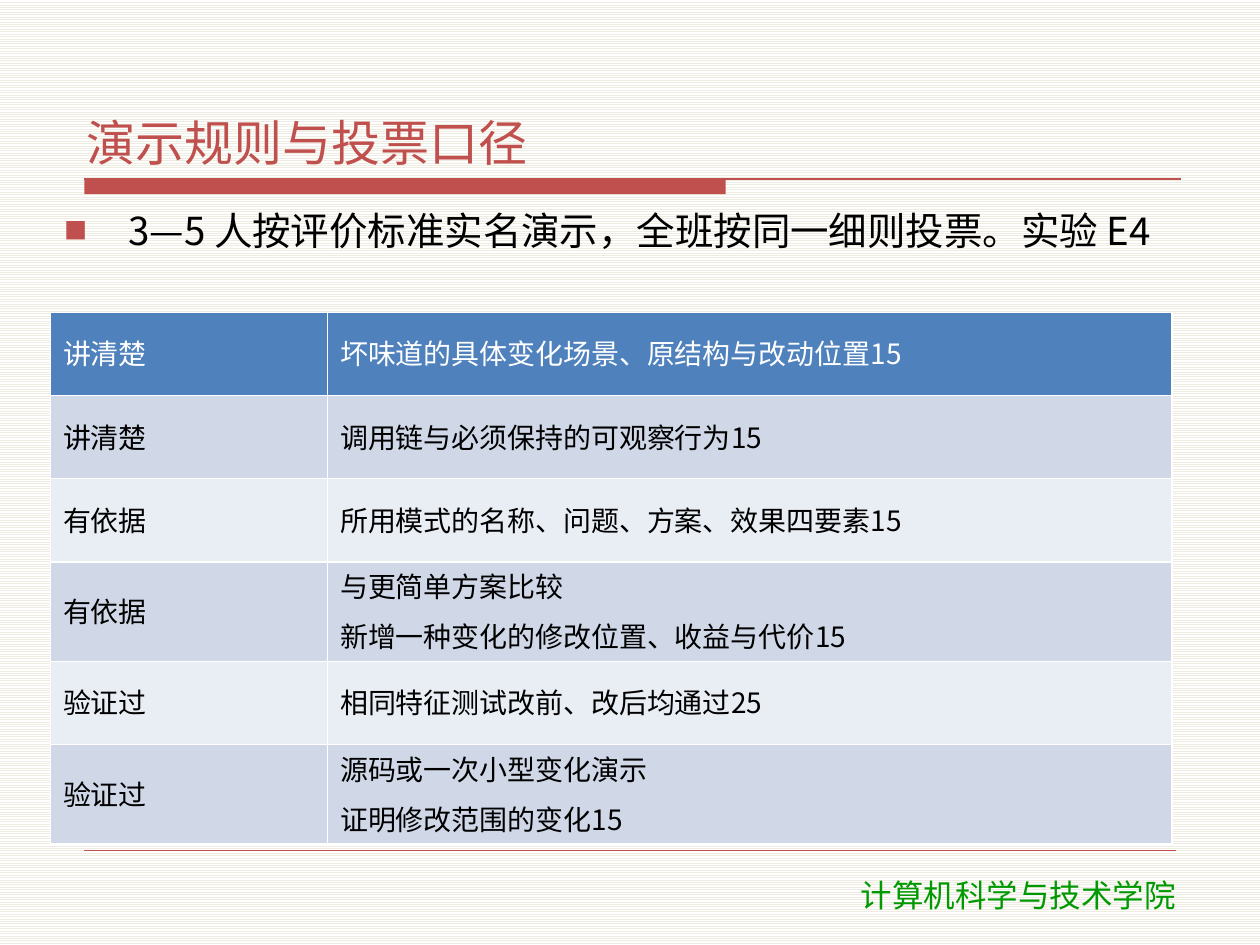
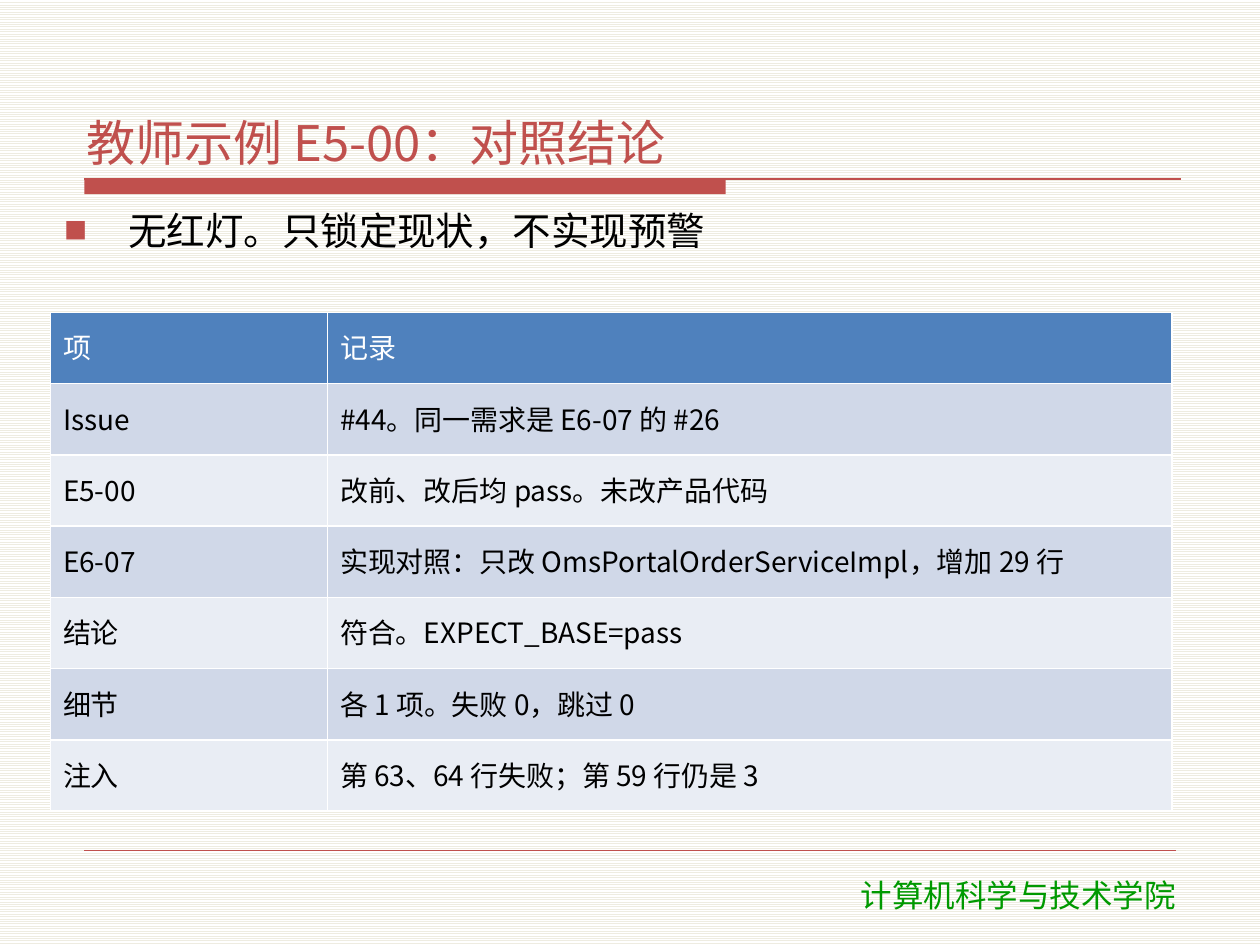
from lxml import etree
from pptx import Presentation
from pptx.dml.color import RGBColor
from pptx.enum.dml import MSO_PATTERN
from pptx.enum.shapes import MSO_CONNECTOR, MSO_SHAPE
from pptx.enum.text import MSO_ANCHOR, MSO_AUTO_SIZE, PP_ALIGN
from pptx.oxml.ns import qn
from pptx.util import Inches, Pt

COLORS = {
    "accent": "C0504D",
    "text": "000000",
    "white": "FFFFFF",
    "stripe": "EEECE1",
    "footer": "009900",
    "header": "4F81BD",
    "odd": "D0D8E8",
    "even": "E9EDF4",
}
MAIN_FONT = "Noto Sans CJK SC"
FOOTER_FONT = "DejaVu Sans"
FOOTER_TEXT = "计算机科学与技术学院"
TITLE_ONLY = 5

BOX_FORMAT = {
    "margin_left": Inches(0.06),
    "margin_right": Inches(0.06),
    "margin_top": Inches(0.02),
    "margin_bottom": Inches(0.02),
    "word_wrap": True,
    "auto_size": MSO_AUTO_SIZE.NONE,
}
TABLE_BOX = [Inches(value) for value in (0.4, 2.48, 8.9, 3.96)]
COLUMN_WIDTHS = (2.2, 6.7)
TWO_LINE_HEIGHT = 0.79

RULE_ROWS = [
    ("讲清楚", "坏味道的具体变化场景、原结构与改动位置15"),
    ("讲清楚", "调用链与必须保持的可观察行为15"),
    ("有依据", "所用模式的名称、问题、方案、效果四要素15"),
    ("有依据", "与更简单方案比较\n新增一种变化的修改位置、收益与代价15"),
    ("验证过", "相同特征测试改前、改后均通过25"),
    ("验证过", "源码或一次小型变化演示\n证明修改范围的变化15"),
]
RECORD_ROWS = [
    ("项", "记录"),
    ("Issue", "#44。同一需求是 E6-07 的 #26"),
    ("E5-00", "改前、改后均 pass。未改产品代码"),
    ("E6-07", "实现对照：只改 OmsPortalOrderServiceImpl，增加 29 行"),
    ("结论", "符合。EXPECT_BASE=pass"),
    ("细节", "各 1 项。失败 0，跳过 0"),
    ("注入", "第 63、64 行失败；第 59 行仍是 3"),
]


def color(name):
    return RGBColor.from_string(COLORS[name])


def apply_format(target, values):
    for name, value in values.items():
        setattr(target, name, value)


def place(shape, left, top, width, height):
    lengths = zip(("left", "top", "width", "height"), (left, top, width, height))
    apply_format(shape, {name: Inches(value) for name, value in lengths})


def write_paragraph(paragraph, text, size, color_name, font=MAIN_FONT, **values):
    """Write one run with Latin and East Asian fonts set alike."""
    apply_format(paragraph, values)
    run = paragraph.add_run()
    run.text = text
    apply_format(run.font, {"size": Pt(size), "name": font, "bold": False})
    run.font.color.rgb = color(color_name)
    latin = run.font._element.find(qn("a:latin"))
    east_asian = etree.Element(qn("a:ea"), typeface=font)
    latin.addnext(east_asian)


def add_rule(slide, top, right, width):
    line = slide.shapes.add_connector(
        MSO_CONNECTOR.STRAIGHT, Inches(0.67), Inches(top), Inches(right), Inches(top))
    line.line.color.rgb = color("accent")
    line.line.width = Pt(width)
    etree.SubElement(line._element.spPr, qn("a:effectLst"))


def add_frame(slide):
    """Striped background, title band, rules and footer."""
    fill = slide.background.fill
    fill.patterned()
    fill.pattern = MSO_PATTERN.LIGHT_HORIZONTAL
    fill.fore_color.rgb = color("stripe")
    fill.back_color.rgb = color("white")

    band = slide.shapes.add_shape(
        MSO_SHAPE.RECTANGLE, Inches(0.67), Inches(1.42), Inches(5.09), Inches(0.12))
    band.shadow.inherit = False
    band.fill.solid()
    band.fill.fore_color.rgb = color("accent")
    band.line.fill.background()
    add_rule(slide, 1.42, 9.37, 0.75)
    add_rule(slide, 6.75, 9.33, 0.25)

    footer = slide.shapes.add_textbox(
        Inches(6.07), Inches(6.9), Inches(4.02), Inches(0.4))
    footer.text_frame.word_wrap = True
    write_paragraph(footer.text_frame.paragraphs[0], FOOTER_TEXT, 18, "footer",
                    FOOTER_FONT, alignment=PP_ALIGN.CENTER)


def set_title(slide, text):
    title = slide.shapes.title
    place(title, 0.63, 0.33, 8.75, 1.05)
    apply_format(title.text_frame, BOX_FORMAT)
    title.text_frame.vertical_anchor = MSO_ANCHOR.BOTTOM
    write_paragraph(title.text_frame.paragraphs[0], text, 28, "accent",
                    alignment=PP_ALIGN.LEFT, space_after=Pt(2))


def add_bullet(slide, text):
    box = slide.shapes.add_textbox(
        Inches(0.45), Inches(1.62), Inches(9.1), Inches(0.78))
    apply_format(box.text_frame, BOX_FORMAT)
    paragraph = box.text_frame.paragraphs[0]
    properties = paragraph._p.get_or_add_pPr()
    properties.set("marL", str(Inches(0.51)))
    properties.set("indent", str(-Inches(0.51)))
    bullet_color = etree.SubElement(properties, qn("a:buClr"))
    etree.SubElement(bullet_color, qn("a:srgbClr"), val=COLORS["accent"])
    etree.SubElement(properties, qn("a:buSzPct"), val="60000")
    etree.SubElement(properties, qn("a:buFont"), typeface=MAIN_FONT)
    etree.SubElement(properties, qn("a:buChar"), char="■")
    write_paragraph(paragraph, text, 22, "text", space_after=Pt(2))


def add_borders(cell):
    properties = cell._tc.get_or_add_tcPr()
    for side in ("lnL", "lnR", "lnT", "lnB"):
        border = etree.SubElement(properties, qn(f"a:{side}"), w=str(Pt(1)))
        fill = etree.SubElement(border, qn("a:solidFill"))
        etree.SubElement(fill, qn("a:srgbClr"), val=COLORS["white"])


def fill_cell(cell, text, fill_name, text_color):
    cell.vertical_anchor = MSO_ANCHOR.MIDDLE
    add_borders(cell)
    cell.fill.solid()
    cell.fill.fore_color.rgb = color(fill_name)
    frame = cell.text_frame
    for index, line in enumerate(text.split("\n")):
        paragraph = frame.add_paragraph() if index else frame.paragraphs[0]
        write_paragraph(paragraph, line, 16, text_color, line_spacing=0.9,
                        space_before=Pt(6 if index else 0), space_after=Pt(2))


def add_banded_table(slide, rows):
    table = slide.shapes.add_table(len(rows), len(COLUMN_WIDTHS), *TABLE_BOX).table
    for column, width in zip(table.columns, COLUMN_WIDTHS):
        column.width = Inches(width)
    for row_index, texts in enumerate(rows):
        # Rows with two lines need more height than an equal share
        if any("\n" in text for text in texts):
            table.rows[row_index].height = Inches(TWO_LINE_HEIGHT)
        if row_index == 0:
            fill_name, text_color = "header", "white"
        else:
            fill_name, text_color = ("odd" if row_index % 2 else "even"), "text"
        for column_index, text in enumerate(texts):
            fill_cell(table.cell(row_index, column_index), text, fill_name, text_color)


def add_table_slide(presentation, title, bullet, rows):
    slide = presentation.slides.add_slide(presentation.slide_layouts[TITLE_ONLY])
    add_frame(slide)
    set_title(slide, title)
    add_bullet(slide, bullet)
    add_banded_table(slide, rows)


def main():
    presentation = Presentation()
    presentation.slide_width = Inches(10)
    presentation.slide_height = Inches(7.5)
    add_table_slide(presentation, "演示规则与投票口径",
                    "3—5 人按评价标准实名演示，全班按同一细则投票。实验 E4", RULE_ROWS)
    add_table_slide(presentation, "教师示例 E5-00：对照结论",
                    "无红灯。只锁定现状，不实现预警", RECORD_ROWS)
    presentation.save("out.pptx")


if __name__ == "__main__":
    main()
